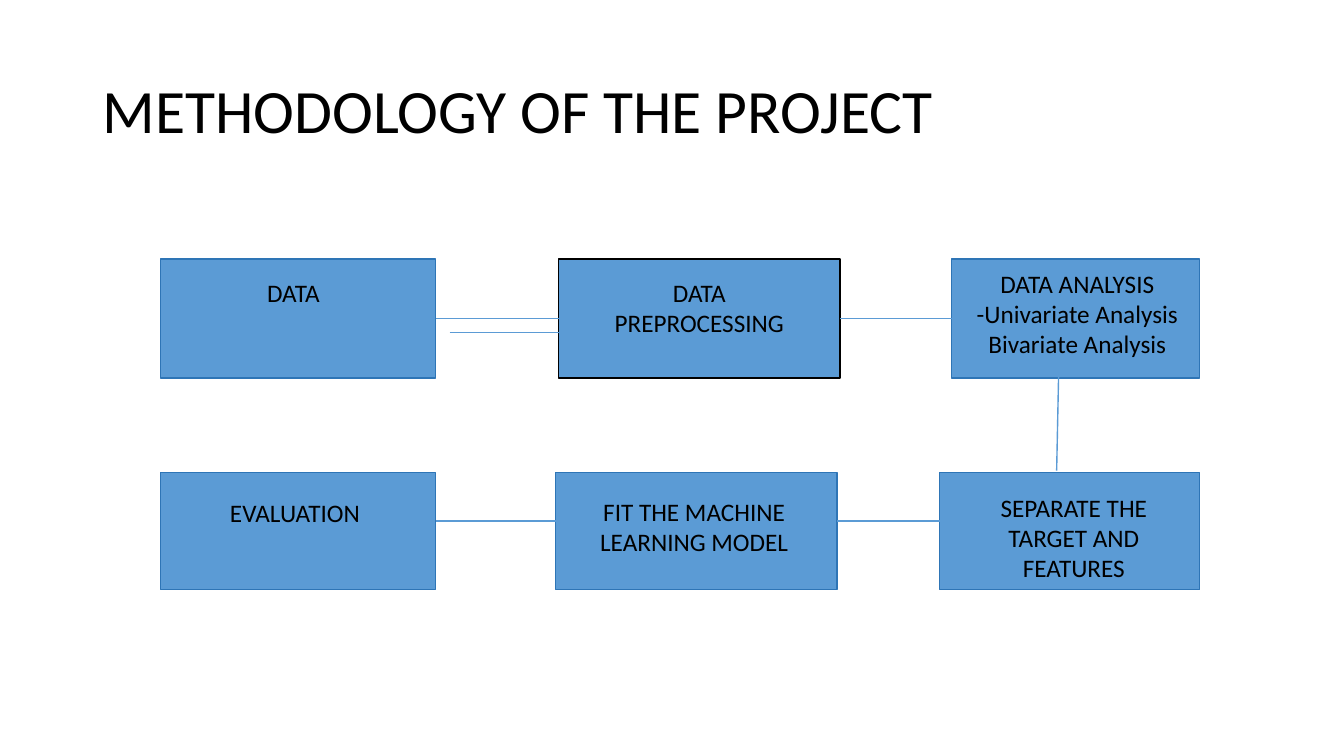
from pptx import Presentation
from pptx.dml.color import RGBColor
from pptx.enum.shapes import MSO_CONNECTOR, MSO_SHAPE
from pptx.enum.text import MSO_ANCHOR, PP_ALIGN
from pptx.oxml.ns import qn
from pptx.util import Inches, Pt
from lxml.etree import SubElement

HUES = {"ink": "000000", "fill": "5B9BD5", "edge": "2E75B6"}


def hue(name):
    return RGBColor.from_string(HUES[name])


def put_text(frame, text, size=18, align=PP_ALIGN.CENTER,
             anchor=MSO_ANCHOR.TOP, space=1.0):
    frame.word_wrap = True
    frame.vertical_anchor = anchor
    par = frame.paragraphs[0]
    par.alignment = align
    par.line_spacing = space
    run = par.add_run()
    run.text = text
    run.font.name = "Calibri"
    run.font.size = Pt(size)
    run.font.color.rgb = hue("ink")


class Board:
    def __init__(self, slide):
        self.shapes = slide.shapes

    def box(self, left, top, width, height, edge="edge"):
        rect = self.shapes.add_shape(
            MSO_SHAPE.RECTANGLE, *map(Inches, (left, top, width, height)))
        rect.shadow.inherit = False
        rect.fill.solid()
        rect.fill.fore_color.rgb = hue("fill")
        rect.line.color.rgb = hue(edge)
        rect.line.width = Pt(1)

    def link(self, x1, y1, x2, y2):
        line = self.shapes.add_connector(
            MSO_CONNECTOR.STRAIGHT, *map(Inches, (x1, y1, x2, y2)))
        line.line.color.rgb = hue("fill")
        line.line.width = Pt(1)
        SubElement(line._element.spPr, qn("a:effectLst"))

    def text(self, text, left, top, width, height, **style):
        area = self.shapes.add_textbox(
            *map(Inches, (left, top, width, height)))
        put_text(area.text_frame, text, **style)


def main():
    deck = Presentation()
    deck.slide_width, deck.slide_height = Inches(13.33), Inches(7.5)
    board = Board(deck.slides.add_slide(deck.slide_layouts[6]))

    # Title
    board.text("METHODOLOGY OF THE PROJECT", 0.92, 0.4, 11.5, 1.45, size=44,
               align=PP_ALIGN.LEFT, anchor=MSO_ANCHOR.MIDDLE, space=0.9)

    # Step boxes, row by row: left, width, edge
    rows = [
        (2.57, 1.18, [(1.59, 2.73, "edge"), (5.54, 2.79, "ink"),
                      (9.44, 2.46, "edge")]),
        (4.69, 1.16, [(1.59, 2.73, "edge"), (5.51, 2.79, "edge"),
                      (9.32, 2.58, "edge")]),
    ]
    for top, height, cells in rows:
        for left, width, edge in cells:
            board.box(left, top, width, height, edge)

    # Links between neighbours in each row
    for (_, _, cells), mid in zip(rows, (3.16, 5.17)):
        for (left, width, _), (after, _, _) in zip(cells, cells[1:]):
            board.link(left + width, mid, after, mid)

    # Second link into preprocessing, and the link down
    board.link(4.46, 3.3, 5.65, 3.3)
    board.link(10.5, 3.69, 10.48, 4.67)

    # Step labels
    labels = [
        ("DATA", 1.7, 2.7, 2.42, 0.82),
        ("DATA PREPROCESSING", 5.74, 2.7, 2.39, 0.71),
        ("DATA ANALYSIS -Univariate Analysis Bivariate Analysis",
         9.55, 2.61, 2.27, 1.01),
        ("SEPARATE THE TARGET AND FEATURES", 9.54, 4.83, 2.22, 1.01),
        ("FIT THE MACHINE LEARNING MODEL", 5.72, 4.87, 2.33, 0.71),
        ("EVALUATION", 1.75, 4.88, 2.35, 0.4),
    ]
    for label in labels:
        board.text(*label)

    deck.save("out.pptx")


if __name__ == "__main__":
    main()
